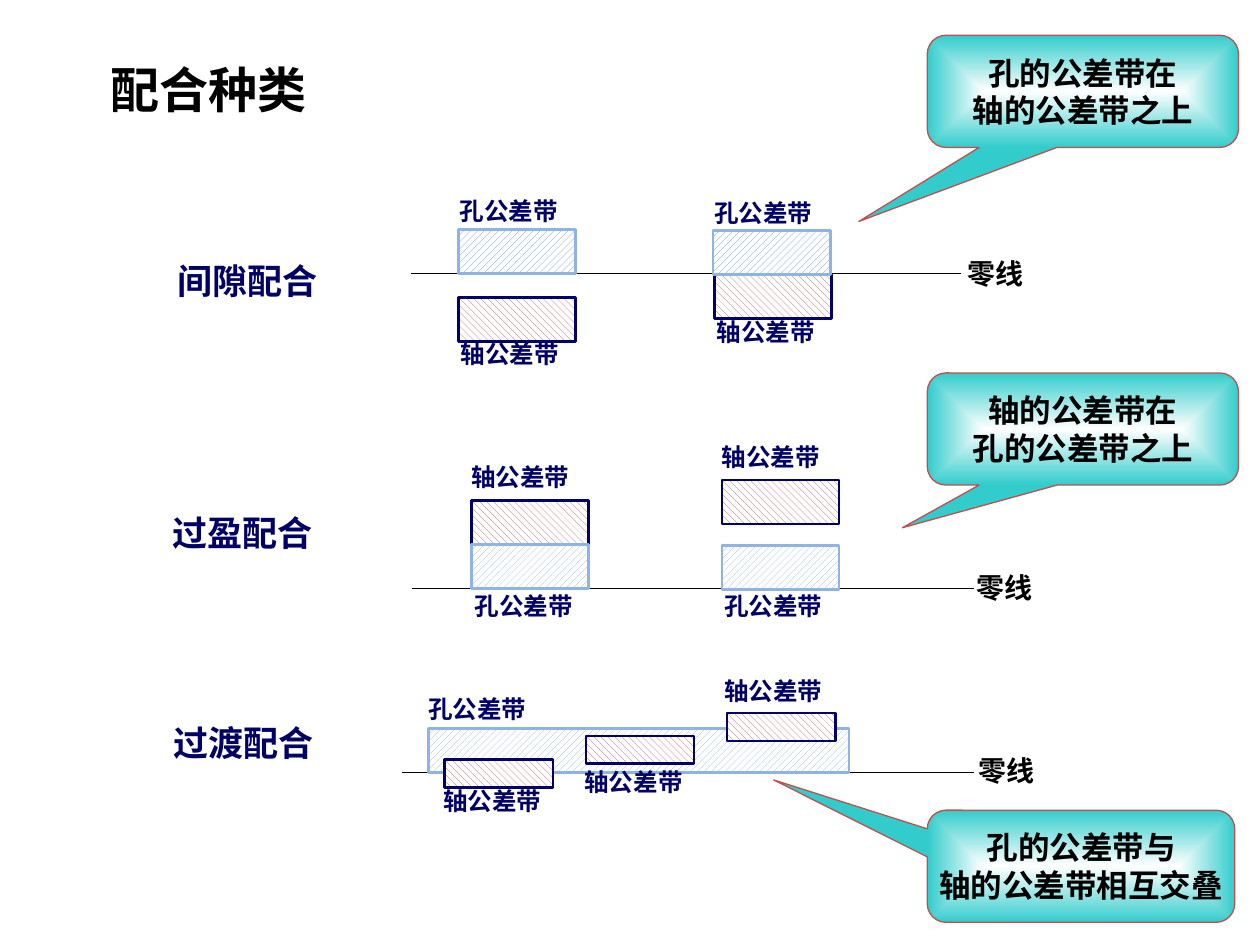
from typing import NamedTuple

from lxml.etree import SubElement
from pptx import Presentation
from pptx.dml.color import RGBColor
from pptx.enum.dml import MSO_PATTERN
from pptx.enum.shapes import MSO_CONNECTOR, MSO_SHAPE
from pptx.enum.text import MSO_ANCHOR, MSO_AUTO_SIZE, PP_ALIGN
from pptx.oxml.ns import qn
from pptx.util import Inches, Pt

BLACK = RGBColor(0x00, 0x00, 0x00)
WHITE = RGBColor(0xFF, 0xFF, 0xFF)
NAVY = RGBColor(0x00, 0x00, 0x66)
RED = RGBColor(0xC0, 0x50, 0x4D)
BLUE = RGBColor(0x55, 0x8E, 0xD5)
PALE_BLUE = RGBColor(0x8E, 0xB4, 0xE3)
TEAL = RGBColor(0x33, 0xCC, 0xCC)
FONT = "Noto Sans CJK SC"
HOLE, SHAFT = "孔公差带", "轴公差带"
ZONE_W, ZONE_H = 0.93, 0.35
SMALL_W, SMALL_H = 0.86, 0.22


class Label(NamedTuple):
    text: str
    left: float
    top: float
    width: float = 1.63
    height: float = 0.33
    size: int = 14
    color: RGBColor = NAVY
    anchor: MSO_ANCHOR = MSO_ANCHOR.TOP


class Zone(NamedTuple):
    kind: str
    left: float
    top: float
    width: float = ZONE_W
    height: float = ZONE_H
    hatch: RGBColor = PALE_BLUE


class Fit(NamedTuple):
    name: Label
    line_left: float
    line_right: float
    line_y: float
    zero: Label
    zones: list[Zone]
    labels: list[Label]


class Callout(NamedTuple):
    lines: list[str]
    top: float
    width: float
    tip_x: float
    tip_y: float


def fit_name(text, left, top, width):
    return Label(text, left, top, width, 0.43, 20, NAVY, MSO_ANCHOR.MIDDLE)


def zero_label(left, top):
    return Label("零线", left, top, 1.37, 0.37, 16, BLACK)


FITS = [
    Fit(fit_name("间隙配合", 1.31, 2.01, 1.43), 3.26, 7.63, 2.17, zero_label(7.58, 1.99),
        [Zone(SHAFT, 3.64, 2.36), Zone(SHAFT, 5.67, 2.18),
         Zone(HOLE, 3.64, 1.82, hatch=BLUE), Zone(HOLE, 5.66, 1.83, hatch=BLUE)],
        [Label(HOLE, 3.55, 1.51), Label(SHAFT, 3.56, 2.64),
         Label(HOLE, 5.57, 1.52), Label(SHAFT, 5.59, 2.47)]),
    Fit(fit_name("过盈配合", 1.27, 4.01, 1.58), 3.27, 7.73, 4.67, zero_label(7.65, 4.48),
        [Zone(SHAFT, 3.74, 3.97), Zone(SHAFT, 5.73, 3.81),
         Zone(HOLE, 3.74, 4.32), Zone(HOLE, 5.73, 4.33)],
        [Label(HOLE, 3.67, 4.64), Label(SHAFT, 3.64, 3.62),
         Label(HOLE, 5.65, 4.64), Label(SHAFT, 5.63, 3.46)]),
    Fit(fit_name("过渡配合", 1.28, 5.68, 1.57), 3.19, 7.73, 6.13, zero_label(7.67, 5.93),
        [Zone(HOLE, 3.4, 5.78, 3.34), Zone(SHAFT, 3.53, 6.03, SMALL_W, SMALL_H),
         Zone(SHAFT, 4.65, 5.84, SMALL_W, SMALL_H), Zone(SHAFT, 5.77, 5.66, SMALL_W, SMALL_H)],
        [Label(HOLE, 3.3, 5.46), Label(SHAFT, 3.42, 6.19),
         Label(SHAFT, 4.54, 6.04), Label(SHAFT, 5.65, 5.32)]),
]

CALLOUTS = [
    Callout(["孔的公差带在", "轴的公差带之上"], 0.28, 2.47, -0.72, 1.16),
    Callout(["轴的公差带在", "孔的公差带之上"], 2.96, 2.47, -0.58, 0.88),
    Callout(["孔的公差带与", "轴的公差带相互交叠"], 6.43, 2.44, -1.0, -0.77),
]


def style(p, size: int, color: RGBColor, name: str = FONT) -> None:
    font = p.font
    font.size, font.bold, font.name = Pt(size), True, name
    font.color.rgb = color
    latin = p._p.pPr.find(qn("a:defRPr")).find(qn("a:latin"))
    ea = latin.makeelement(qn("a:ea"), {"typeface": name})
    latin.addnext(ea)


def place(sp, left: float, top: float, width: float, height: float) -> None:
    sp.left, sp.top = Inches(left), Inches(top)
    sp.width, sp.height = Inches(width), Inches(height)


def add_title(slide) -> None:
    sp = slide.shapes.title
    place(sp, 0.21, 0.42, 2.89, 0.57)
    tf = sp.text_frame
    tf.text = "配合种类"
    tf.vertical_anchor = MSO_ANCHOR.MIDDLE
    tf.paragraphs[0].alignment = PP_ALIGN.CENTER
    style(tf.paragraphs[0], 28, BLACK)


def add_label(slide, label: Label) -> None:
    sp = slide.shapes.add_textbox(Inches(label.left), Inches(label.top),
                                  Inches(label.width), Inches(label.height))
    tf = sp.text_frame
    tf.word_wrap = True
    tf.auto_size = MSO_AUTO_SIZE.SHAPE_TO_FIT_TEXT
    tf.vertical_anchor = label.anchor
    tf.text = label.text
    style(tf.paragraphs[0], label.size, label.color)


def add_zone(slide, zone: Zone) -> None:
    sp = slide.shapes.add_shape(MSO_SHAPE.RECTANGLE, Inches(zone.left), Inches(zone.top),
                                Inches(zone.width), Inches(zone.height))
    sp.shadow.inherit = False
    is_hole = zone.kind == HOLE
    sp.fill.patterned()
    sp.fill.pattern = (MSO_PATTERN.WIDE_UPWARD_DIAGONAL if is_hole
                       else MSO_PATTERN.WIDE_DOWNWARD_DIAGONAL)
    sp.fill.fore_color.rgb = zone.hatch if is_hole else RED
    sp.fill.back_color.rgb = WHITE
    sp.line.color.rgb = PALE_BLUE if is_hole else NAVY
    sp.line.width = Pt(1.5)


def add_fit(slide, fit: Fit) -> None:
    add_label(slide, fit.name)
    y = Inches(fit.line_y)
    line = slide.shapes.add_connector(MSO_CONNECTOR.STRAIGHT, Inches(fit.line_left), y,
                                      Inches(fit.line_right), y)
    line.line.color.rgb = BLACK
    line.line.width = Pt(1)
    SubElement(line._element.spPr, qn("a:effectLst"))
    for zone in fit.zones:
        add_zone(slide, zone)
    for label in [fit.zero, *fit.labels]:
        add_label(slide, label)


def add_callout(slide, callout: Callout) -> None:
    sp = slide.shapes.add_shape(MSO_SHAPE.ROUNDED_RECTANGULAR_CALLOUT, Inches(7.36),
                                Inches(callout.top), Inches(callout.width), Inches(0.89))
    sp.shadow.inherit = False
    sp.adjustments[0], sp.adjustments[1] = callout.tip_x, callout.tip_y
    sp.fill.gradient()
    for stop, color in zip(sp.fill.gradient_stops, (WHITE, TEAL)):
        stop.color.rgb = color
    grad = sp._element.spPr.find(qn("a:gradFill"))
    grad.remove(grad.find(qn("a:lin")))
    center = SubElement(grad, qn("a:path"), {"path": "rect"})
    SubElement(center, qn("a:fillToRect"), dict.fromkeys("ltrb", "50000"))
    sp.line.color.rgb = RED
    sp.line.width = Pt(0.75)
    tf = sp.text_frame
    tf.word_wrap = False
    tf.vertical_anchor = MSO_ANCHOR.MIDDLE
    tf.text = "\n".join(callout.lines)
    for p in tf.paragraphs:
        p.alignment = PP_ALIGN.CENTER
        style(p, 18, BLACK, "Arial")


def main() -> None:
    prs = Presentation()
    prs.slide_width, prs.slide_height = Inches(10), Inches(7.5)
    slide = prs.slides.add_slide(prs.slide_layouts[5])
    add_title(slide)
    for fit in FITS:
        add_fit(slide, fit)
    for callout in CALLOUTS:
        add_callout(slide, callout)
    prs.save("out.pptx")


if __name__ == "__main__":
    main()
